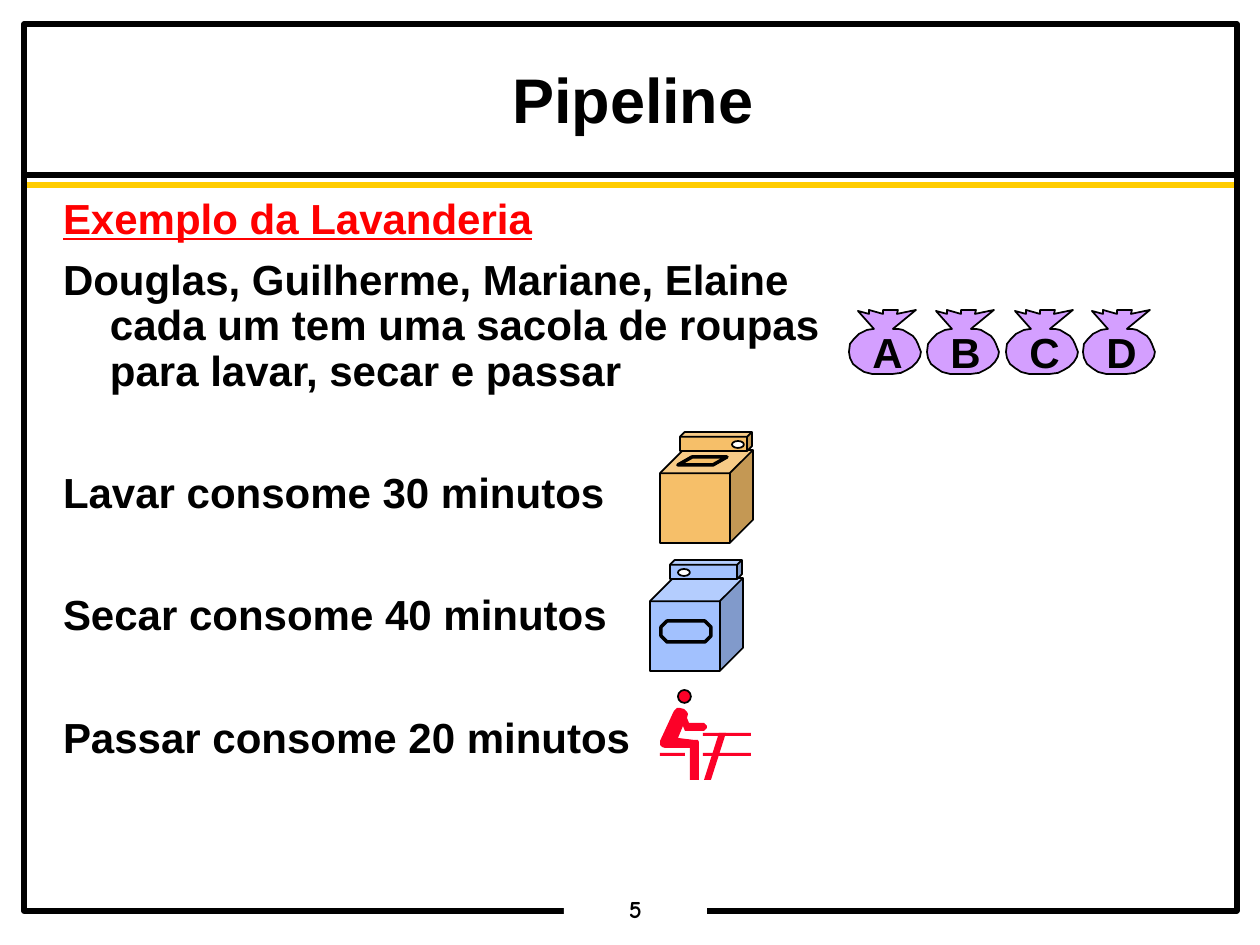
from lxml.etree import SubElement
from pptx import Presentation
from pptx.dml.color import RGBColor
from pptx.enum.shapes import MSO_CONNECTOR, MSO_SHAPE
from pptx.enum.text import MSO_ANCHOR, MSO_AUTO_SIZE, PP_ALIGN
from pptx.oxml.ns import qn
from pptx.util import Inches, Pt

PX = 7257  # EMU per px, 126 px to the inch
C = {
    "black": "000000", "white": "FFFFFF", "gold": "FFCC00", "red": "FF0000",
    "washer": "F6BF69", "dryer": "A2C1FE", "worker": "FC0128", "bag": "D49FFF",
}


def paint(sp, fill=None, line=None, pt=1):
    sp.shadow.inherit = False
    if fill:
        sp.fill.solid()
        sp.fill.fore_color.rgb = RGBColor.from_string(C[fill])
    else:
        sp.fill.background()
    if line:
        sp.line.color.rgb = RGBColor.from_string(C[line])
        sp.line.width = Pt(pt)
    else:
        sp.line.fill.background()


def add_run(p, text, size, color="black", font="Arial"):
    r = p.add_run()
    r.text = text
    r.font.size, r.font.name, r.font.bold = Pt(size), font, True
    r.font.color.rgb = RGBColor.from_string(C[color])
    return r


prs = Presentation()
prs.slide_width, prs.slide_height = Inches(10), Inches(7.5)
s = prs.slides.add_slide(prs.slide_layouts[1])

# Header rules
for y, color in ((175, "black"), (185, "gold")):
    ln = s.shapes.add_connector(MSO_CONNECTOR.STRAIGHT, 25 * PX, y * PX, 1239 * PX, y * PX)
    ln.line.color.rgb = RGBColor.from_string(C[color])
    ln.line.width = Pt(3)
    SubElement(ln._element.spPr, qn("a:effectLst"))

# Page frame and slide number
frame = s.shapes.add_shape(MSO_SHAPE.RECTANGLE, 24 * PX, 24 * PX, 1213 * PX, 887 * PX)
paint(frame, line="black", pt=3)
num = s.shapes.add_shape(MSO_SHAPE.RECTANGLE, 564 * PX, 893 * PX, 143 * PX, 34 * PX)
paint(num, "white")

# Title and body placeholders
title, body = s.shapes.title, s.placeholders[1]
title.left, title.top, title.width, title.height = (v * PX for v in (25, 62, 1216, 79))
body.left, body.top, body.width, body.height = (v * PX for v in (54, 194, 1067, 566))
for sp in (num, title, body):
    tf = sp.text_frame
    tf.margin_left = tf.margin_right = 9 * PX
    tf.margin_top = tf.margin_bottom = 4 * PX
    tf.auto_size = MSO_AUTO_SIZE.NONE
    tf.word_wrap = sp is not num
    tf.vertical_anchor = MSO_ANCHOR.TOP

p = num.text_frame.paragraphs[0]
p.alignment, p.line_spacing = PP_ALIGN.CENTER, 0.9
add_run(p, "5", 14, font="Comic Neue")

p = title.text_frame.paragraphs[0]
p.alignment, p.line_spacing = PP_ALIGN.CENTER, 0.95
add_run(p, "Pipeline", 36)

# Body: lines of each paragraph, space before, colour
paragraphs = [
    (["Exemplo da Lavanderia"], 0, "red"),
    (["Douglas, Guilherme, Mariane, Elaine", "cada um tem uma sacola de roupas",
      "para lavar, secar e passar"], 9, "black"),
    (["Lavar consome 30 minutos"], 44, "black"),
    (["Secar consome 40 minutos"], 44, "black"),
    (["Passar consome 20 minutos"], 44, "black"),
]
tf = body.text_frame
for i, (lines, before, color) in enumerate(paragraphs):
    p = tf.add_paragraph() if i else tf.paragraphs[0]
    p.line_spacing, p.space_before = 0.9, Pt(before)
    pPr = p._p.get_or_add_pPr()
    pPr.set("marL", str(47 * PX))
    pPr.set("indent", str(-47 * PX))
    SubElement(pPr, qn("a:buNone"))
    for j, line in enumerate(lines):
        if j:
            p.add_line_break()
        r = add_run(p, line, 24, color)
        r.font.underline = color == "red"

# Washer and dryer: origin, colour, knob offset, window shape, its box and adjustment
machines = [
    (650, 560, "dryer", 28, MSO_SHAPE.OCTAGON, (11, 61, 50, 21), 0.29),
    (660, 432, "washer", 72, MSO_SHAPE.PARALLELOGRAM, (18, 25, 49, 8), 1.76),
]
for x, y, color, knob, window, window_box, adj in machines:
    g = s.shapes.add_group_shape()
    parts = [
        (MSO_SHAPE.CUBE, (0, 18, 93, 93), color, 1, 0.25),
        (MSO_SHAPE.CUBE, (20, 0, 72, 19), color, 1, 0.25),
        (MSO_SHAPE.OVAL, (knob, 9, 12, 7), "white", 1, None),
        (window, window_box, color, 2, adj),
    ]
    for kind, (dx, dy, w, h), fill, pt, a in parts:
        sp = g.shapes.add_shape(kind, (x + dx) * PX, (y + dy) * PX, w * PX, h * PX)
        paint(sp, fill, "black", pt)
        if a:
            sp.adjustments[0] = a

# Person at the ironing table
g = s.shapes.add_group_shape()
table_leg = [(719, 733), (726, 733), (711, 780), (704, 780)]
person = [
    (673, 713), (660, 741), (660, 745), (662, 747), (665, 748), (690, 748), (690, 780),
    (699, 780), (699, 742), (698, 740), (694, 740), (678, 738), (683, 726), (685, 731),
    (704, 731), (707, 728), (707, 726), (704, 723), (689, 723), (687, 718), (688, 714),
    (687, 712), (684, 709), (680, 708), (677, 708), (674, 711),
]
for pts in (table_leg, person):
    fb = g.shapes.build_freeform(*pts[0], scale=PX)
    fb.add_line_segments(pts[1:], close=True)
    paint(fb.convert_to_shape(), "worker")
for x, y, w in ((703, 733, 48), (703, 753, 48), (660, 753, 25)):
    paint(g.shapes.add_shape(MSO_SHAPE.RECTANGLE, x * PX, y * PX, w * PX, 3 * PX), "worker")
head = g.shapes.add_shape(MSO_SHAPE.OVAL, 678 * PX, 690 * PX, 13 * PX, 13 * PX)
paint(head, "worker", "black")

# Laundry bags
bag = [
    (9, 1), (20, 4), (20, 0), (34, 4), (34, 0), (49, 0), (48, 4), (67, 0), (44, 19),
    (49, 19), (54, 20), (59, 23), (64, 26), (67, 30), (69, 34), (72, 42), (71, 47),
    (68, 52), (63, 57), (58, 60), (52, 63), (44, 64), (29, 64), (23, 64), (15, 62),
    (9, 58), (4, 54), (1, 48), (0, 42), (1, 34), (5, 29), (10, 24), (18, 20), (25, 19),
]
g = s.shapes.add_group_shape()
for x, letter in zip((849, 927, 1006, 1083), "ABCD"):
    fb = g.shapes.build_freeform(*bag[0], scale=PX)
    fb.add_line_segments(bag[1:], close=True)
    paint(fb.convert_to_shape(x * PX, 310 * PX), "bag", "black")
    tb = g.shapes.add_textbox((x + 11) * PX, 320 * PX, 55 * PX, 63 * PX)
    tb.text_frame.word_wrap = False
    p = tb.text_frame.paragraphs[0]
    p.alignment = PP_ALIGN.CENTER
    add_run(p, letter, 24)

prs.save("out.pptx")
